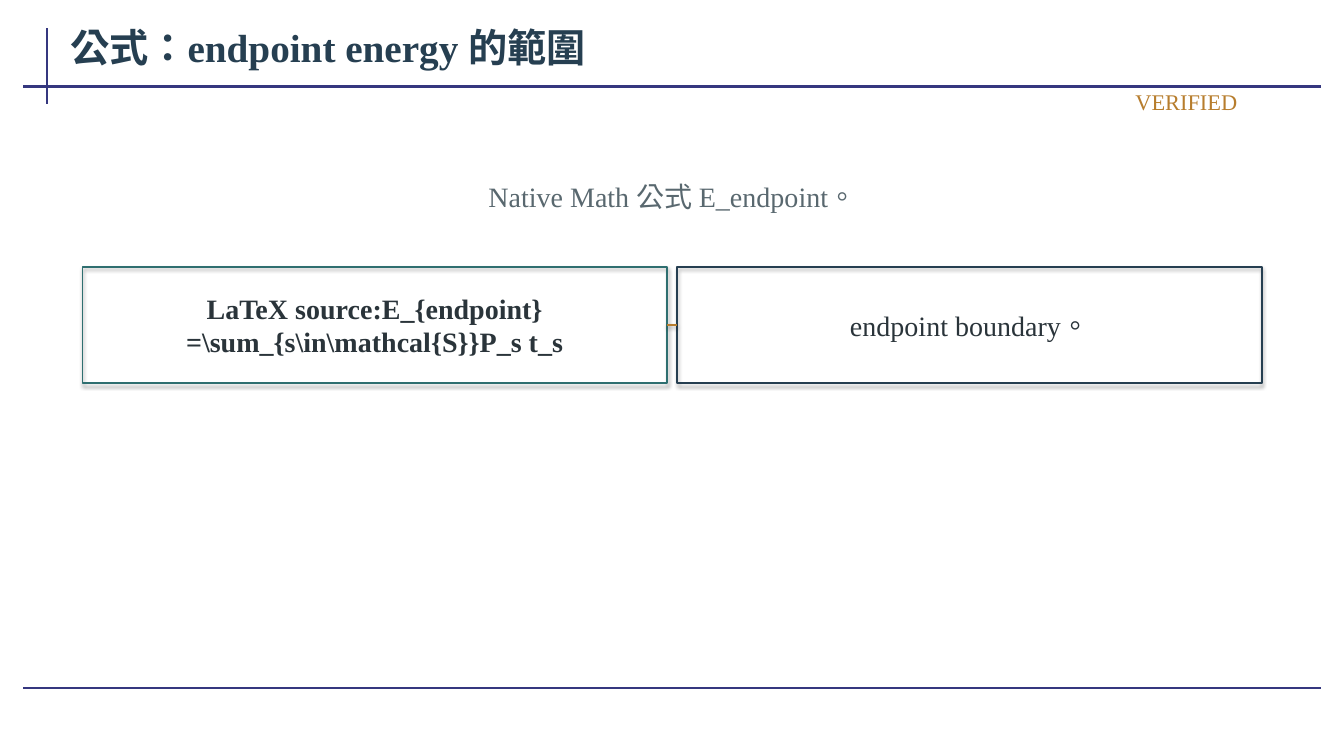
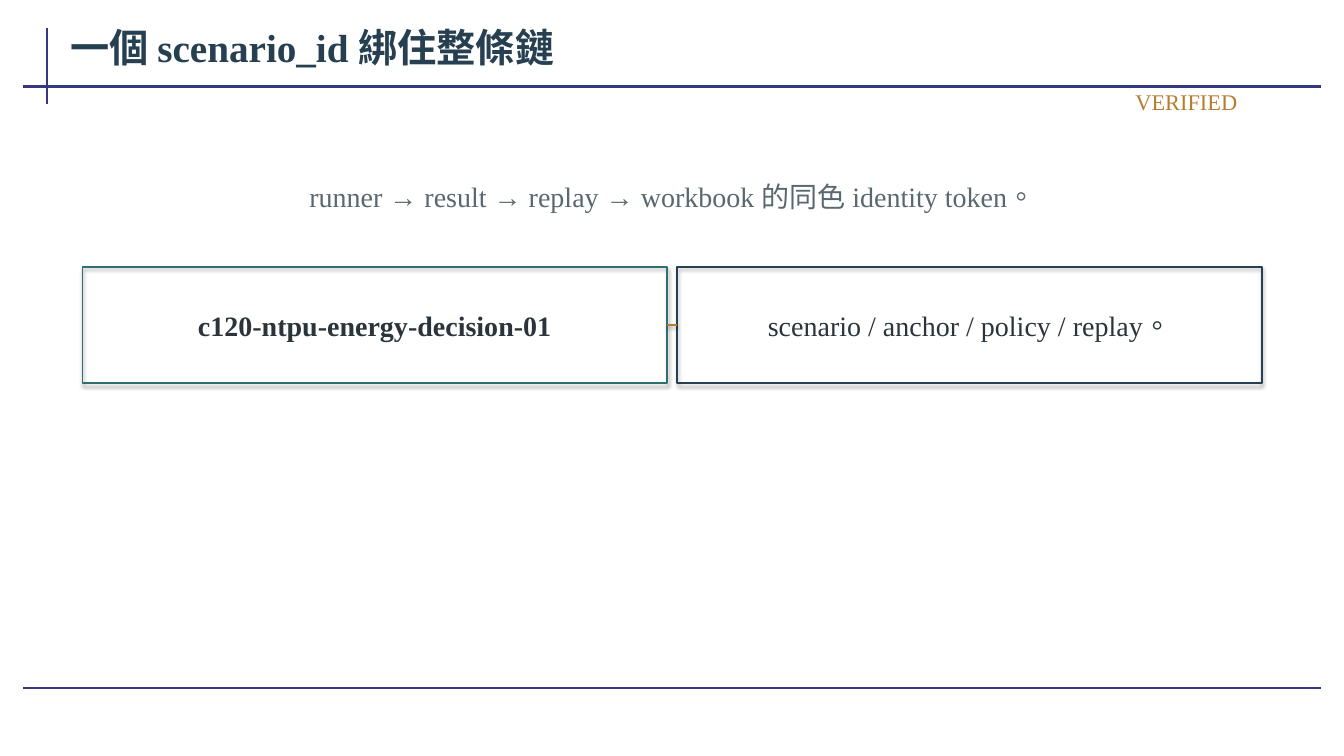
from dataclasses import dataclass

from pptx import Presentation
from pptx import util as u
from pptx.dml.color import RGBColor
from pptx.enum import lang, shapes, text
from pptx.oxml import parse_xml
from pptx.oxml.ns import nsdecls


@dataclass(frozen=True)
class Theme:
    font: str = "Times New Roman"
    rule: str = "35377F"
    navy: str = "263F51"
    teal: str = "2F6F70"
    gold: str = "B77D2D"
    ink: str = "2A343A"
    grey: str = "59686F"
    head: int = 28
    body: int = 20
    tag: int = 16
    frame: float = 1.5
    edge: float = 1.2


T = Theme()
WIDE, HIGH = 33.87, 19.05
ALIGN = text.PP_ALIGN
FIT = text.MSO_AUTO_SIZE


def apply(target, values):
    for name, value in values.items():
        setattr(target, name, value)


def cast(shape, blur=0, dist=0, alpha=0):
    shade = ""
    if alpha:
        shade = (
            f'<a:outerShdw blurRad="{u.Pt(blur)}" dist="{u.Pt(dist)}" dir="5400000" '
            'rotWithShape="0"><a:srgbClr val="000000">'
            f'<a:alpha val="{alpha * 1000}"/></a:srgbClr></a:outerShdw>'
        )
    shape._element.spPr.append(
        parse_xml(f'<a:effectLst {nsdecls("a")}>{shade}</a:effectLst>')
    )


def stroke(shape, color, width):
    shape.line.color.rgb = RGBColor.from_string(color)
    shape.line.width = u.Pt(width)


def label(slide, box, words, size, color, align=ALIGN.CENTER, bold=False, fit=FIT.SHAPE_TO_FIT_TEXT):
    frame = slide.shapes.add_textbox(*map(u.Cm, box)).text_frame
    apply(frame, {
        "word_wrap": True,
        "auto_size": fit,
        "vertical_anchor": text.MSO_ANCHOR.MIDDLE,
        "margin_left": u.Cm(0.2),
        "margin_right": u.Cm(0.2),
        "margin_top": u.Cm(0.1),
        "margin_bottom": u.Cm(0.1),
    })
    para = frame.paragraphs[0]
    para.alignment = align
    run = para.add_run()
    run.text = words
    apply(run.font, {
        "name": T.font,
        "size": u.Pt(size),
        "bold": bold,
        "language_id": lang.MSO_LANGUAGE_ID.TRADITIONAL_CHINESE,
    })
    run.font.color.rgb = RGBColor.from_string(color)


def line(slide, ends, color, width):
    rule = slide.shapes.add_connector(shapes.MSO_CONNECTOR.STRAIGHT, *map(u.Cm, ends))
    stroke(rule, color, width)
    return rule


def header(slide, box, title):
    left, top, width, height = box
    base = top + height
    right = left + width
    foot = HIGH - 1.72
    mark = left + 0.61
    for ends in (
        (mark, top + 0.33, mark, base + 0.44),
        (left, base, right, base),
        (left, foot, right, foot),
    ):
        cast(line(slide, ends, T.rule, T.frame))
    label(slide, (left + 0.99, top + 0.02, 31.72, 1.57), title, T.head, T.navy,
          ALIGN.LEFT, True, FIT.NONE)
    label(slide, (right - 10.03, base, 8.13, 0.76), "VERIFIED", T.tag, T.gold, ALIGN.RIGHT)


def card(slide, box, words, color, bold):
    left, top, width, height = box
    panel = slide.shapes.add_shape(shapes.MSO_SHAPE.RECTANGLE, *map(u.Cm, box))
    panel.fill.background()
    stroke(panel, color, T.edge)
    cast(panel, 3.1, 1.8, 35)
    inner = (left + 0.13, top + 0.25, width - 0.26, height - 0.5)
    label(slide, inner, words, T.body, T.ink, bold=bold)
    return panel


def pair(slide, box, first, second):
    left, top, width, height = box
    gap = 0.26
    each = (width - gap) / 2
    step = each + gap
    start = card(slide, (left, top, each, height), first, T.teal, True)
    end = card(slide, (left + step, top, each, height), second, T.navy, False)
    mid = top + height / 2
    link = line(slide, (left + each, mid, left + step, mid), T.gold, T.edge)
    link.begin_connect(start, 3)
    link.end_connect(end, 1)
    cast(link, 3.1, 1.6, 38)


def page(deck, title, lead, first, second):
    slide = deck.slides.add_slide(deck.slide_layouts[6])
    header(slide, (0.58, 0.38, 32.7, 1.8), title)
    pair(slide, (2.08, 6.73, WIDE - 4.15, 2.92), first, second)
    label(slide, (2.34, 4.19, WIDE - 4.66, 1.52), lead, T.body, T.grey)


PAGES = (
    (
        "公式：endpoint energy 的範圍",
        "Native Math 公式 E_endpoint。",
        r"LaTeX source:E_{endpoint}=\sum_{s\in\mathcal{S}}P_s t_s",
        "endpoint boundary。",
    ),
    (
        "一個 scenario_id 綁住整條鏈",
        "runner → result → replay → workbook 的同色 identity token。",
        "c120-ntpu-energy-decision-01",
        "scenario / anchor / policy / replay。",
    ),
)


def main():
    deck = Presentation()
    apply(deck, {"slide_width": u.Cm(WIDE), "slide_height": u.Cm(HIGH)})
    for words in PAGES:
        page(deck, *words)
    deck.save("out.pptx")


if __name__ == "__main__":
    main()
